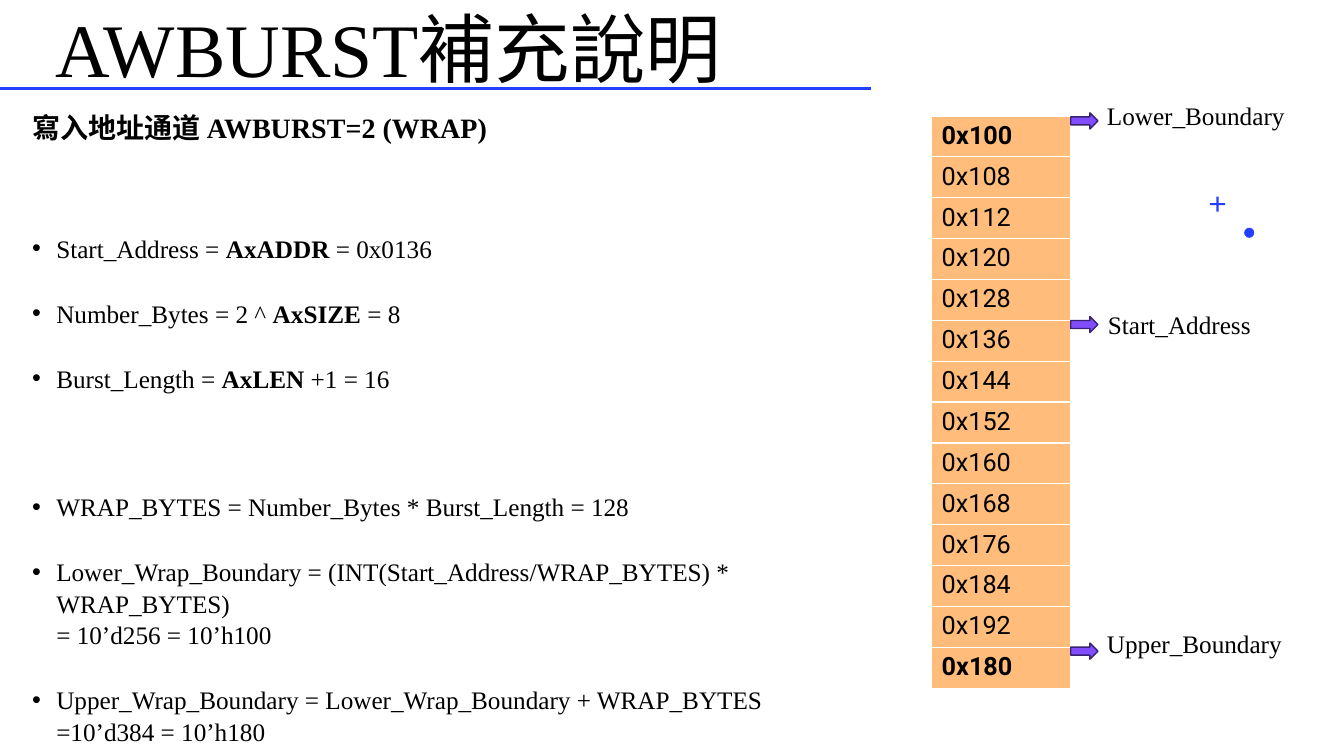
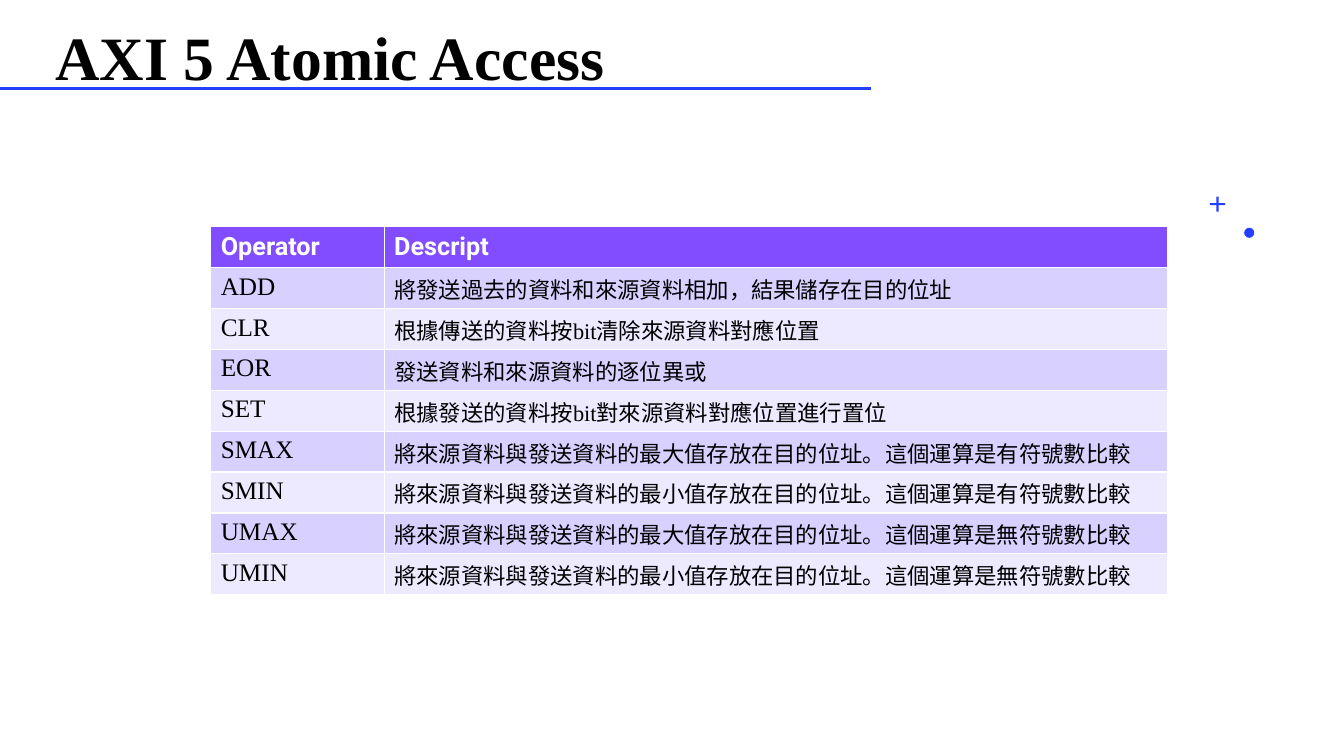
from lxml import etree
from pptx import Presentation
from pptx.dml.color import RGBColor
from pptx.enum.shapes import MSO_CONNECTOR, MSO_SHAPE
from pptx.enum.text import MSO_ANCHOR
from pptx.oxml.ns import qn
from pptx.util import Inches, Pt

BLACK = RGBColor(0x00, 0x00, 0x00)
WHITE = RGBColor(0xFF, 0xFF, 0xFF)
BLUE = RGBColor(0x24, 0x3F, 0xFF)
PURPLE = RGBColor(0x81, 0x4D, 0xFF)
DARK_PURPLE = RGBColor(0x38, 0x21, 0x6F)
ORANGE = RGBColor(0xFF, 0xBC, 0x7A)
BANDS = [RGBColor(0xD8, 0xD0, 0xFF), RGBColor(0xED, 0xE9, 0xFF)]
SERIF = "Times New Roman"
SANS = "Roboto"


def set_font(p, size, name=SERIF, color=BLACK, bold=False):
    for r in p.runs:
        r.font.name = name
        r.font.size = Pt(size)
        r.font.bold = bold
        r.font.color.rgb = color


def add_titled_slide(prs, title, width, size, bold):
    """Add a slide with the shared rule, corner marks and title."""
    s = prs.slides.add_slide(prs.slide_layouts[6])
    rule = s.shapes.add_connector(
        MSO_CONNECTOR.STRAIGHT, Inches(0), Inches(0.88), Inches(8.64), Inches(0.88))
    rule.line.color.rgb = BLUE
    rule.line.width = Pt(2)
    etree.SubElement(rule._element.spPr, qn("a:effectLst"))

    dot = s.shapes.add_shape(
        MSO_SHAPE.OVAL, Inches(12.34), Inches(2.26), Inches(0.1), Inches(0.1))
    plus = s.shapes.add_shape(
        MSO_SHAPE.CROSS, Inches(12), Inches(1.95), Inches(0.15), Inches(0.15))
    plus.adjustments[0] = 0.43
    for mark in (dot, plus):
        mark.shadow.inherit = False
        mark.fill.solid()
        mark.fill.fore_color.rgb = BLUE
        mark.line.fill.background()

    tf = s.shapes.add_textbox(
        Inches(0.45), Inches(-0.31), Inches(width), Inches(1.29)).text_frame
    tf.word_wrap = True
    tf.vertical_anchor = MSO_ANCHOR.BOTTOM
    p = tf.paragraphs[0]
    p.text = title
    p.line_spacing = 0.9
    set_font(p, size, bold=bold)
    return s


prs = Presentation()
prs.slide_width = Inches(13.33)
prs.slide_height = Inches(7.5)

# Slide 1: wrapping burst
s = add_titled_slide(prs, "AWBURST補充說明", 8.96, 54, False)

# Left, top, width, height, text, size, bold
labels = [
    (0.22, 1.05, 4.79, 0.43, "寫入地址通道 AWBURST=2 (WRAP)", 20, True),
    (10.88, 0.95, 2.22, 0.4, "Lower_Boundary", 18, False),
    (10.89, 3.02, 1.82, 0.4, "Start_Address", 18, False),
    (10.88, 6.18, 2.22, 0.4, "Upper_Boundary", 18, False),
]
for left, top, width, height, text, size, bold in labels:
    tf = s.shapes.add_textbox(
        Inches(left), Inches(top), Inches(width), Inches(height)).text_frame
    tf.word_wrap = True
    tf.text = text
    set_font(tf.paragraphs[0], size, bold=bold)

# Text before, signal name in bold, text after, space before
formulas = [
    ("Start_Address = ", "AxADDR", " = 0x0136", 0),
    ("Number_Bytes = 2 ^ ", "AxSIZE", " = 8", 6),
    ("Burst_Length = ", "AxLEN", " +1 = 16", 6),
    ("WRAP_BYTES = Number_Bytes * Burst_Length = 128", "", "", 51.5),
    ("Lower_Wrap_Boundary = (INT(Start_Address/WRAP_BYTES) * WRAP_BYTES)\v"
     "= 10’d256 = 10’h100", "", "", 6),
    ("Upper_Wrap_Boundary = Lower_Wrap_Boundary + WRAP_BYTES\v"
     "=10’d384 = 10’h180", "", "", 6),
]
tf = s.shapes.add_textbox(
    Inches(0.22), Inches(2.25), Inches(8.76), Inches(5.1)).text_frame
tf.word_wrap = True
for i, (before, signal, after, space) in enumerate(formulas):
    p = tf.paragraphs[0] if i == 0 else tf.add_paragraph()
    p.text = before
    if signal:
        p.add_run().text = signal
        p.add_run().text = after
    set_font(p, 18)
    if signal:
        p.runs[1].font.bold = True
    pPr = p._p.get_or_add_pPr()
    pPr.set("marL", str(Inches(0.24)))
    pPr.set("indent", str(Inches(-0.24)))
    etree.SubElement(pPr, qn("a:buFont"), typeface="Arial")
    etree.SubElement(pPr, qn("a:buChar"), char="•")
    p.line_spacing = 1.04
    p.space_before = Pt(space)
    p.space_after = Pt(18)

addresses = ["0x100", "0x108"] + [f"0x{n}" for n in range(112, 193, 8)] + ["0x180"]
memory = s.shapes.add_table(
    len(addresses), 1, Inches(9.24), Inches(1.15), Inches(1.38), Inches(5.68)).table
for i, address in enumerate(addresses):
    cell = memory.cell(i, 0)
    cell.text = address
    cell.fill.solid()
    cell.fill.fore_color.rgb = ORANGE
    set_font(cell.text_frame.paragraphs[0], 18, SANS,
             bold=address in ("0x100", "0x180"))

for top in (1.12, 3.14, 6.38):
    arrow = s.shapes.add_shape(
        MSO_SHAPE.RIGHT_ARROW, Inches(10.62), Inches(top), Inches(0.27), Inches(0.16))
    arrow.shadow.inherit = False
    arrow.fill.solid()
    arrow.fill.fore_color.rgb = PURPLE
    arrow.line.color.rgb = DARK_PURPLE
    arrow.line.width = Pt(1)

# Slide 2: atomic operators
s = add_titled_slide(prs, "AXI 5 Atomic Access", 6.77, 44, True)

operators = [
    ("Operator", "Descript"),
    ("ADD", "將發送過去的資料和來源資料相加，結果儲存在目的位址"),
    ("CLR", "根據傳送的資料按bit清除來源資料對應位置"),
    ("EOR", "發送資料和來源資料的逐位異或"),
    ("SET", "根據發送的資料按bit對來源資料對應位置進行置位"),
    ("SMAX", "將來源資料與發送資料的最大值存放在目的位址。這個運算是有符號數比較"),
    ("SMIN", "將來源資料與發送資料的最小值存放在目的位址。這個運算是有符號數比較"),
    ("UMAX", "將來源資料與發送資料的最大值存放在目的位址。這個運算是無符號數比較"),
    ("UMIN", "將來源資料與發送資料的最小值存放在目的位址。這個運算是無符號數比較"),
]
table = s.shapes.add_table(
    len(operators), 2, Inches(2.09), Inches(2.25), Inches(9.49), Inches(3.65)).table
table.columns[0].width = Inches(1.72)
table.columns[1].width = Inches(7.77)
for i, row in enumerate(operators):
    for j, text in enumerate(row):
        cell = table.cell(i, j)
        cell.text = text
        cell.fill.solid()
        p = cell.text_frame.paragraphs[0]
        if i == 0:
            cell.fill.fore_color.rgb = PURPLE
            set_font(p, 18, SANS, WHITE, True)
        else:
            cell.fill.fore_color.rgb = BANDS[(i - 1) % 2]
            set_font(p, 16 if j else 18)

prs.save("out.pptx")
